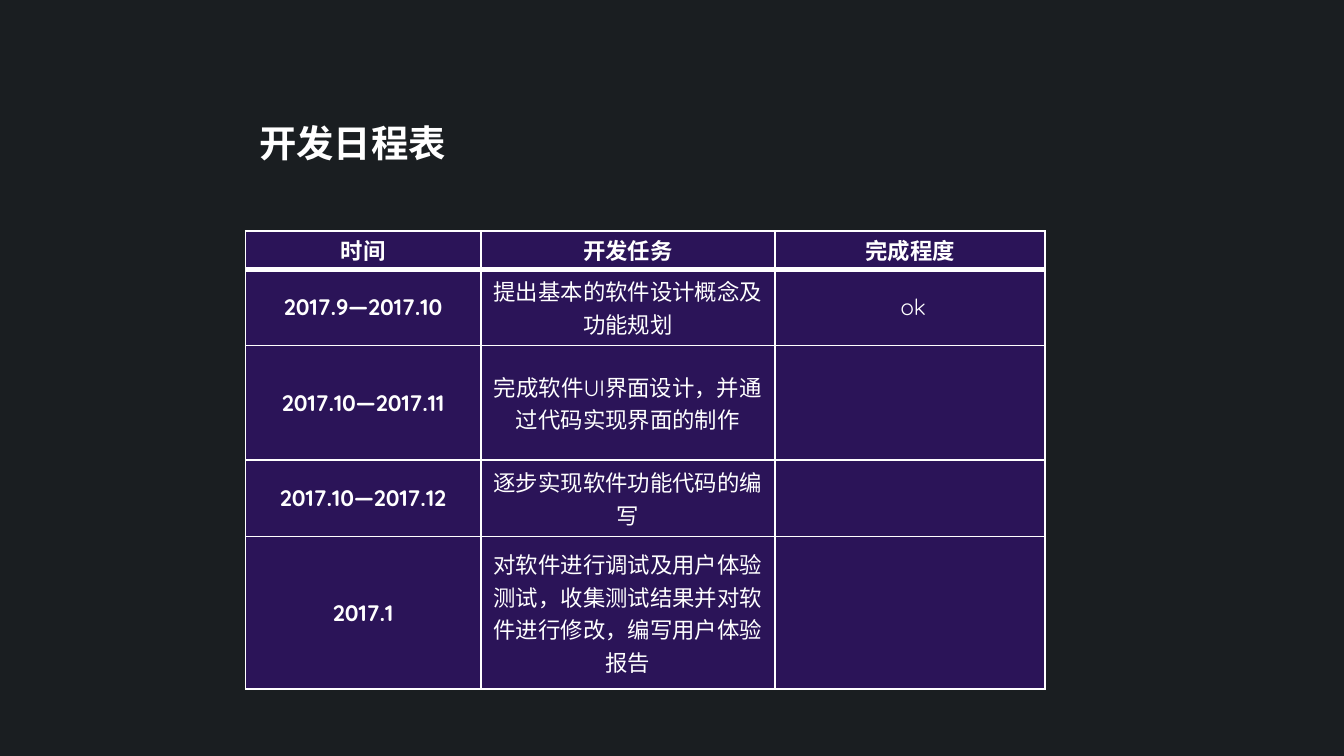
from dataclasses import dataclass

from lxml import etree
from pptx import Presentation
from pptx.dml.color import RGBColor
from pptx.enum.text import MSO_ANCHOR, MSO_AUTO_SIZE, PP_ALIGN
from pptx.oxml.ns import qn
from pptx.util import Inches, Pt

MID = MSO_ANCHOR.MIDDLE
GROW = MSO_AUTO_SIZE.SHAPE_TO_FIT_TEXT
LEFT, CENTER = PP_ALIGN.LEFT, PP_ALIGN.CENTER

WIDE = 10
HIGH = WIDE * 9 / 16
FONT = "Quicksand"
HUES = {"back": "1A1E21", "cell": "2B1458", "ink": "FFFFFF"}
EDGE = 18.27
COLS = (1.75, 2.19, 2.01)
ROWS = (1, 2, 3, 2, 4)
UNIT = 3.41 / sum(ROWS)
THIN, THICK = 1, 3


@dataclass
class Task:
    time: str
    work: str
    state: str = ""


HEAD = Task("时间", "开发任务", "完成程度")
TASKS = (
    Task("2017.9—2017.10", "提出基本的软件设计概念及功能规划", " ok"),
    Task("2017.10—2017.11", "完成软件UI界面设计，并通过代码实现界面的制作"),
    Task("2017.10—2017.12", "逐步实现软件功能代码的编写"),
    Task("2017.1", "对软件进行调试及用户体验测试，收集测试结果并对软件进行修改，编写用户体验报告"),
)


def hue(name: str) -> RGBColor:
    return RGBColor.from_string(HUES[name])


def across(share: float) -> int:
    return Inches(WIDE * share / 100)


def down(share: float) -> int:
    return Inches(HIGH * share / 100)


def write(frame, text: str, size: int, bold: bool, align) -> None:
    para = frame.paragraphs[0]
    para.alignment = align
    run = para.add_run()
    run.text = text
    font = run.font
    font.name, font.size, font.bold = FONT, Pt(size), bold
    font.color.rgb = hue("ink")


def edge(cell, side: str, width: float) -> None:
    props = cell._tc.get_or_add_tcPr()
    line = etree.SubElement(props, qn(f"a:ln{side}"), w=str(Pt(width)))
    fill = etree.SubElement(line, qn("a:solidFill"))
    etree.SubElement(fill, qn("a:srgbClr"), val=HUES["ink"])


def draw_cell(cell, text: str, row: int, bold: bool) -> None:
    top = THICK if row == 1 else THIN
    base = THICK if row == 0 else THIN
    for side, width in (("L", THIN), ("R", THIN), ("T", top), ("B", base)):
        edge(cell, side, width)
    cell.fill.solid()
    cell.fill.fore_color.rgb = hue("cell")
    cell.vertical_anchor = MID
    cell.margin_left = cell.margin_right = Inches(0.07)
    cell.margin_top = cell.margin_bottom = 0
    if text:
        write(cell.text_frame, text, 12, bold, CENTER)


def draw_plan(slide) -> None:
    frame = slide.shapes.add_table(
        len(ROWS), len(COLS), across(EDGE), down(30.55),
        Inches(sum(COLS)), Inches(UNIT * sum(ROWS)))
    table = frame.table
    table.first_row = table.horz_banding = False
    for col, width in zip(table.columns, COLS):
        col.width = Inches(width)
    for row, span in zip(table.rows, ROWS):
        row.height = Inches(UNIT * span)
    for r, task in enumerate((HEAD, *TASKS)):
        for c, text in enumerate((task.time, task.work, task.state)):
            draw_cell(table.cell(r, c), text, r, r == 0 or c == 0)


def draw_title(slide) -> None:
    title = slide.shapes.title
    title.left, title.top = across(EDGE), down(15)
    title.width, title.height = across(61.7), down(7.8)
    frame = title.text_frame
    frame.word_wrap = True
    frame.auto_size = GROW
    frame.vertical_anchor = MID
    write(frame, "开发日程表", 20, True, LEFT)


def main() -> None:
    deck = Presentation()
    deck.slide_width, deck.slide_height = Inches(WIDE), Inches(HIGH)
    slide = deck.slides.add_slide(deck.slide_layouts[5])
    back = slide.background.fill
    back.solid()
    back.fore_color.rgb = hue("back")
    draw_title(slide)
    draw_plan(slide)
    deck.save("out.pptx")


if __name__ == "__main__":
    main()
